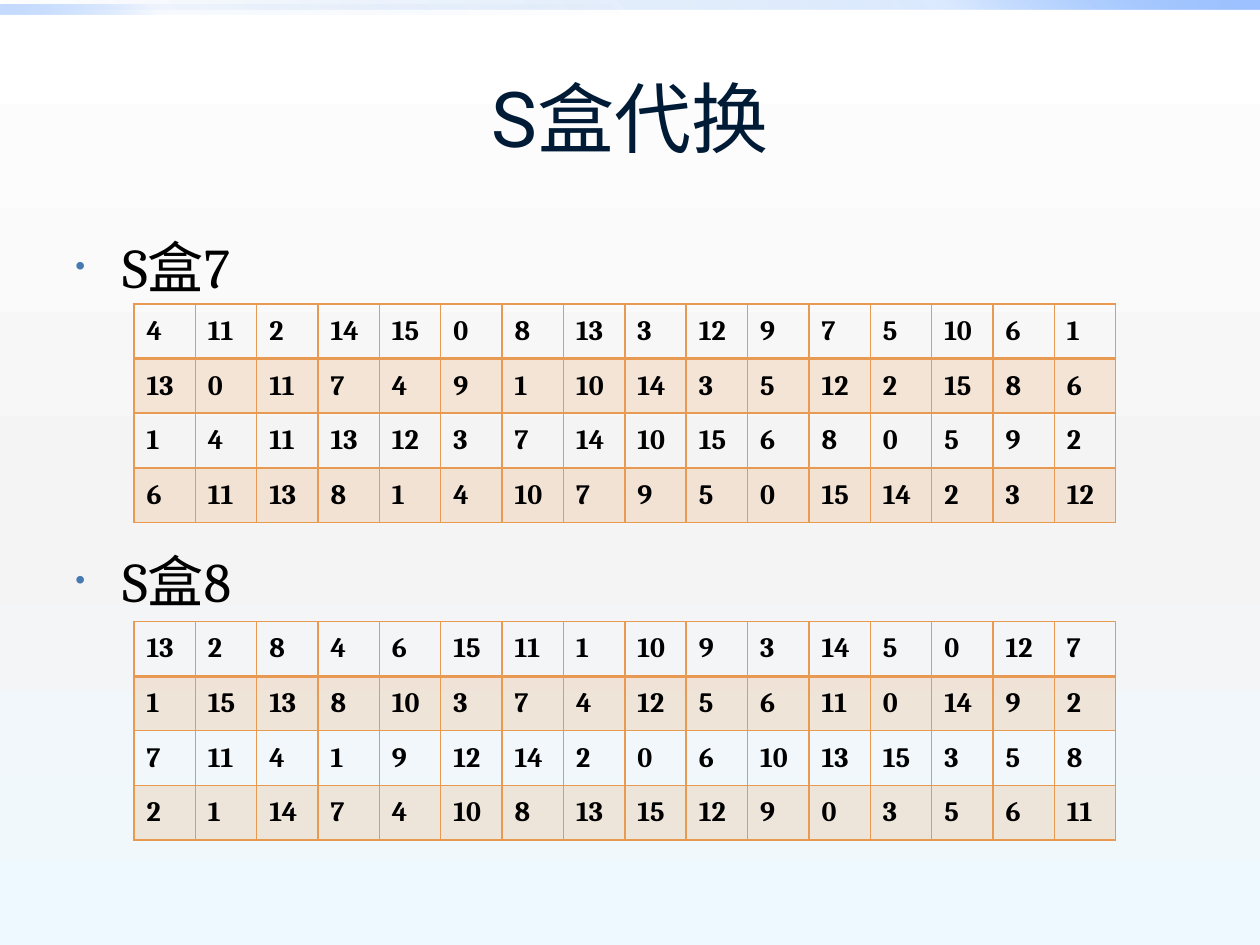
from lxml import etree
from pptx import Presentation
from pptx.dml.color import RGBColor
from pptx.enum import shapes, text
from pptx.oxml import ns
from pptx.util import Cm, Pt

COLORS = {
    "title": "001B36", "ink": "000000", "bullet": "477AB1", "orange": "E89A53",
    "white": "FFFFFF", "grey": "F4F4F4", "ice": "EEF9FF",
    "deep": "0058B7", "blue": "4F95FF", "pale": "9EC2FF",
}
BOX_7 = [
    [4, 11, 2, 14, 15, 0, 8, 13, 3, 12, 9, 7, 5, 10, 6, 1],
    [13, 0, 11, 7, 4, 9, 1, 10, 14, 3, 5, 12, 2, 15, 8, 6],
    [1, 4, 11, 13, 12, 3, 7, 14, 10, 15, 6, 8, 0, 5, 9, 2],
    [6, 11, 13, 8, 1, 4, 10, 7, 9, 5, 0, 15, 14, 2, 3, 12],
]
BOX_8 = [
    [13, 2, 8, 4, 6, 15, 11, 1, 10, 9, 3, 14, 5, 0, 12, 7],
    [1, 15, 13, 8, 10, 3, 7, 4, 12, 5, 6, 11, 0, 14, 9, 2],
    [7, 11, 4, 1, 9, 12, 14, 2, 0, 6, 10, 13, 15, 3, 5, 8],
    [2, 1, 14, 7, 4, 10, 8, 13, 15, 12, 9, 0, 3, 5, 6, 11],
]


def add_element(parent, tag, **attributes):
    child = etree.SubElement(parent, ns.qn(tag))
    for name, value in attributes.items():
        child.set(name, str(value))
    return child


def add_color(parent, name, opacity=100):
    color = add_element(parent, "a:srgbClr", val=COLORS[name])
    if opacity < 100:
        add_element(color, "a:alpha", val=opacity * 1000)


def paint_gradient(fill, element, angle, stops):
    """Fill with stops given as (position %, colour name, opacity %)."""
    fill.gradient()
    gradient = element.find(".//" + ns.qn("a:gradFill"))
    for child in list(gradient):
        gradient.remove(child)
    stop_list = add_element(gradient, "a:gsLst")
    for position, name, opacity in stops:
        stop = add_element(stop_list, "a:gs", pos=position * 1000)
        add_color(stop, name, opacity)
    add_element(gradient, "a:lin", ang=angle * 60000, scaled=0)


def set_font(font, name, size, color, bold=False):
    font.name, font.size, font.bold = name, Pt(size), bold
    font.color.rgb = RGBColor.from_string(COLORS[color])


def add_band(page, top, width, angle, stops):
    band = page.shapes.add_shape(
        shapes.MSO_SHAPE.RECTANGLE, 0, Cm(top), Cm(width), Cm(0.2))
    band.shadow.inherit = False
    band.line.fill.background()
    paint_gradient(band.fill, band.element, angle, stops)


def add_title(page, words):
    box = page.shapes.add_textbox(Cm(1.27), Cm(0.76), Cm(22.86), Cm(3.18))
    frame = box.text_frame
    frame.word_wrap = True
    frame.vertical_anchor = text.MSO_ANCHOR.MIDDLE
    para = frame.paragraphs[0]
    para.text = words
    para.alignment = text.PP_ALIGN.CENTER
    set_font(para.font, "Roboto", 44, "title")


def add_headings(page, headings):
    """Bulleted headings in one box, spaced to leave room for the tables."""
    box = page.shapes.add_textbox(Cm(1.27), Cm(4.45), Cm(22.86), Cm(12.57))
    frame = box.text_frame
    frame.word_wrap = True
    for index, words in enumerate(headings):
        para = frame.add_paragraph() if index else frame.paragraphs[0]
        para.text = words
        para.line_spacing = Pt(41.5)
        if index:
            para.space_before = Pt(138)
        properties = para._p.get_or_add_pPr()
        properties.set("marL", str(Cm(0.95)))
        properties.set("indent", str(-Cm(0.95)))
        add_color(add_element(properties, "a:buClr"), "bullet")
        add_element(properties, "a:buSzPct", val=50000)
        add_element(properties, "a:buFont", typeface="Arial")
        add_element(properties, "a:buChar", char="•")
        set_font(para.font, "Cambria", 32, "ink")


def style_cell(cell, shaded, widths):
    """Set the fill, then the borders by side in points."""
    properties = cell._tc.get_or_add_tcPr()
    if shaded:
        add_color(add_element(properties, "a:solidFill"), "orange", 20)
    else:
        cell.fill.background()
    for index, (side, width) in enumerate(widths.items()):
        line = add_element(properties, "a:ln" + side, w=Pt(width))
        add_color(add_element(line, "a:solidFill"), "orange")
        properties.insert(index, line)


def add_number_table(page, top, rows):
    table = page.shapes.add_table(
        len(rows), len(rows[0]), Cm(2.7), Cm(top), Cm(19.8), Cm(4.4)).table
    table.first_row = table.horz_banding = False
    for row, numbers in enumerate(rows):
        widths = {"L": 1, "R": 1, "T": 2 if row == 1 else 1, "B": 2 if row == 0 else 1}
        for column, number in enumerate(numbers):
            cell = table.cell(row, column)
            cell.text = str(number)
            cell.vertical_anchor = text.MSO_ANCHOR.MIDDLE
            set_font(cell.text_frame.paragraphs[0].font, "Cambria", 16, "ink", True)
            style_cell(cell, row % 2 == 1, widths)


def main():
    deck = Presentation()
    deck.slide_width, deck.slide_height = Cm(25.4), Cm(19.05)
    page = deck.slides.add_slide(deck.slide_layouts[6])
    paint_gradient(page.background.fill, page.element, 90,
                   [(0, "white", 100), (55, "grey", 100), (100, "ice", 100)])
    add_band(page, 0, 25.4, 315,
             [(0, "deep", 0), (75, "blue", 20), (100, "pale", 100)])
    add_band(page, 0.1, 12.7, 135,
             [(0, "deep", 0), (75, "blue", 5), (100, "pale", 60)])
    add_title(page, "S盒代换")
    add_headings(page, ["S盒7", "S盒8"])
    add_number_table(page, 12.53, BOX_8)
    add_number_table(page, 6.13, BOX_7)
    deck.save("out.pptx")


if __name__ == "__main__":
    main()
